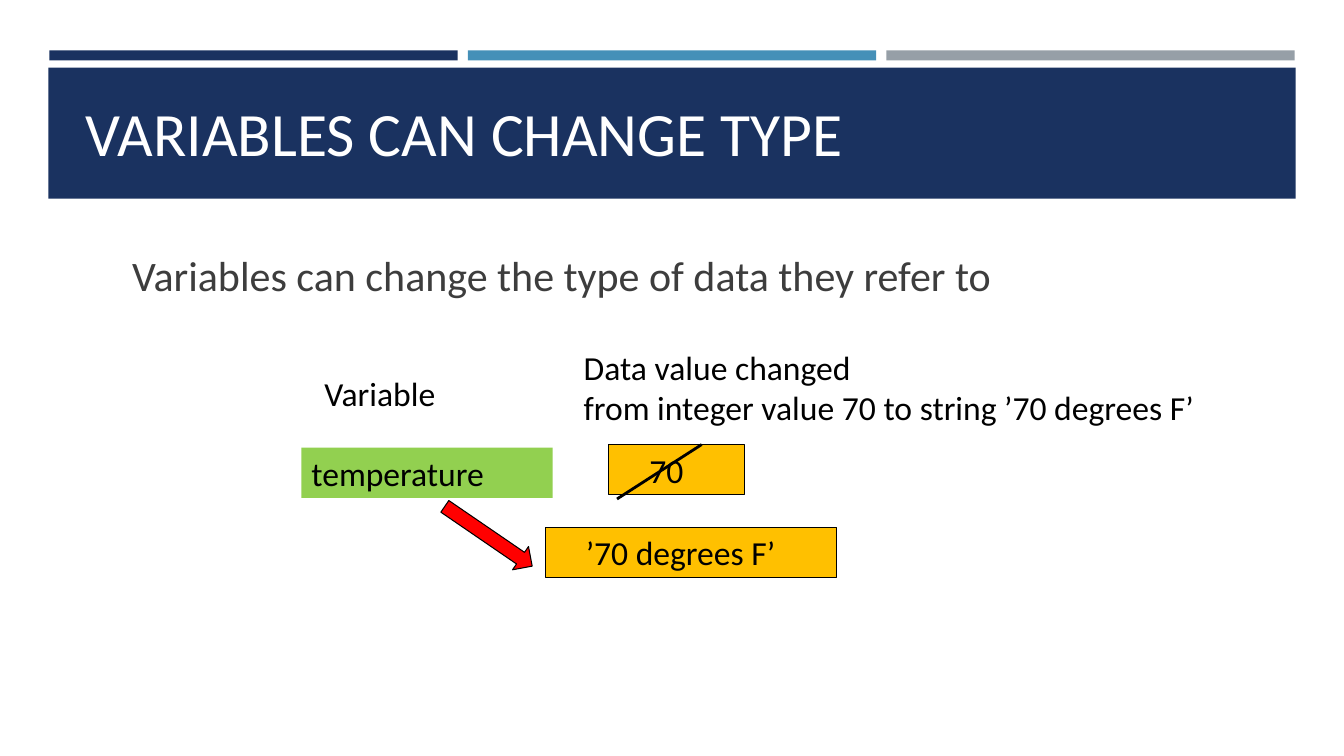
"""Build the slide that shows a variable changing the type of its data."""
from dataclasses import dataclass

from lxml.etree import SubElement
from pptx import Presentation
from pptx.dml.color import RGBColor
from pptx.enum.shapes import MSO_CONNECTOR as Connector, MSO_SHAPE as Shape
from pptx.enum.text import MSO_ANCHOR as Anchor, MSO_AUTO_SIZE as AutoSize, PP_ALIGN as Align
from pptx.oxml.ns import qn
from pptx.util import Inches, Pt


@dataclass(frozen=True)
class Theme:
    """Colours, font and type sizes of the slide."""
    font: str = "Calibri"
    navy: str = "1A3260"
    blue: str = "4590B8"
    grey: str = "969FA7"
    green: str = "92D050"
    amber: str = "FFC000"
    red: str = "FF0000"
    white: str = "FFFFFF"
    ink: str = "3D3D3D"
    black: str = "000000"
    title_size: int = 44
    body_size: int = 30
    label_size: int = 24


def write_text(shape, text, font, size, color, anchor=Anchor.TOP, inset=0.1, wrap=True):
    """Write left-aligned lines into a shape."""
    frame = shape.text_frame
    frame.text = text
    frame.word_wrap = wrap
    frame.auto_size = AutoSize.NONE
    frame.vertical_anchor = anchor
    frame.margin_left = Inches(inset)
    frame.margin_right = Inches(0.1)
    frame.margin_top = frame.margin_bottom = Inches(0.05)
    for paragraph in frame.paragraphs:
        properties = paragraph._p.get_or_add_pPr()
        properties.set("marL", "0")
        properties.set("indent", "0")
        SubElement(properties, qn("a:buNone"))
        paragraph.alignment = Align.LEFT
        paragraph.space_before = Pt(0)
        paragraph.font.name = font
        paragraph.font.size = Pt(size)
        paragraph.font.color.rgb = RGBColor.from_string(color)


class SlideBuilder:
    """Draws styled elements on one slide."""

    def __init__(self, slide, theme):
        """Keep the slide and its theme."""
        self.slide = slide
        self.theme = theme

    def placeholder(self, shape, bounds, text, **text_format):
        """Move a placeholder to the front and fill it."""
        self.slide.shapes.element.append(shape.element)
        shape.left, shape.top, shape.width, shape.height = map(Inches, bounds)
        write_text(shape, text, self.theme.font, **text_format)

    def block(self, bounds, fill, kind=Shape.RECTANGLE, outlined=False, rotation=0):
        """Add a filled shape."""
        shape = self.slide.shapes.add_shape(kind, *map(Inches, bounds))
        shape.shadow.inherit = False
        shape.fill.solid()
        shape.fill.fore_color.rgb = RGBColor.from_string(fill)
        shape.rotation = rotation
        if outlined:
            shape.line.color.rgb = RGBColor.from_string(self.theme.black)
            shape.line.width = Pt(0.75)
        else:
            shape.line.fill.background()
        return shape

    def value_box(self, bounds, text, fill, outlined=False, inset=0.1):
        """Add a filled box with a label."""
        shape = self.block(bounds, fill, outlined=outlined)
        write_text(shape, text, self.theme.font, self.theme.label_size,
                   self.theme.black, inset=inset, wrap=False)

    def label(self, bounds, text):
        """Add a plain text label."""
        shape = self.slide.shapes.add_textbox(*map(Inches, bounds))
        write_text(shape, text, self.theme.font, self.theme.label_size, self.theme.black)

    def strike(self, start, end):
        """Add a straight line that crosses out a value."""
        line = self.slide.shapes.add_connector(
            Connector.STRAIGHT, *map(Inches, (*start, *end)))
        line.line.color.rgb = RGBColor.from_string(self.theme.black)
        line.line.width = Pt(2)
        SubElement(line.element.spPr, qn("a:effectLst"))


def main():
    """Build and save the presentation."""
    theme = Theme()
    presentation = Presentation()
    presentation.slide_width = Inches(13.33)
    presentation.slide_height = Inches(7.5)
    slide = presentation.slides.add_slide(presentation.slide_layouts[1])
    builder = SlideBuilder(slide, theme)

    for column, color in enumerate((theme.navy, theme.blue, theme.grey)):
        builder.block((0.49 + 4.15 * column, 0.5, 4.05, 0.1), color)
    builder.block((0.48, 0.67, 12.37, 1.3), theme.navy)

    builder.placeholder(slide.shapes.title, (0.75, 0.47, 9, 1.25),
                        "VARIABLES CAN CHANGE TYPE", size=theme.title_size,
                        color=theme.white, anchor=Anchor.BOTTOM)
    builder.placeholder(slide.placeholders[1], (1.21, 2.43, 9, 0.65),
                        "Variables can change the type of data they refer to",
                        size=theme.body_size, color=theme.ink)

    builder.label((5.69, 3.39, 7.25, 0.91),
                  "Data value changed\nfrom integer value 70 to string ’70 degrees F’")
    builder.label((3.12, 3.65, 1.6, 0.5), "Variable")
    builder.value_box((2.99, 4.44, 2.49, 0.5), "temperature", theme.green)
    builder.block((4.32, 5.18, 1.05, 0.28), theme.red, Shape.RIGHT_ARROW,
                  outlined=True, rotation=34.4)
    builder.value_box((6.04, 4.41, 1.34, 0.5), "70", theme.amber, outlined=True, inset=0.4)
    builder.value_box((5.41, 5.23, 2.89, 0.5), "’70 degrees F’", theme.amber,
                      outlined=True, inset=0.4)
    builder.strike((6.12, 4.95), (6.96, 4.41))

    presentation.save("out.pptx")


if __name__ == "__main__":
    main()
